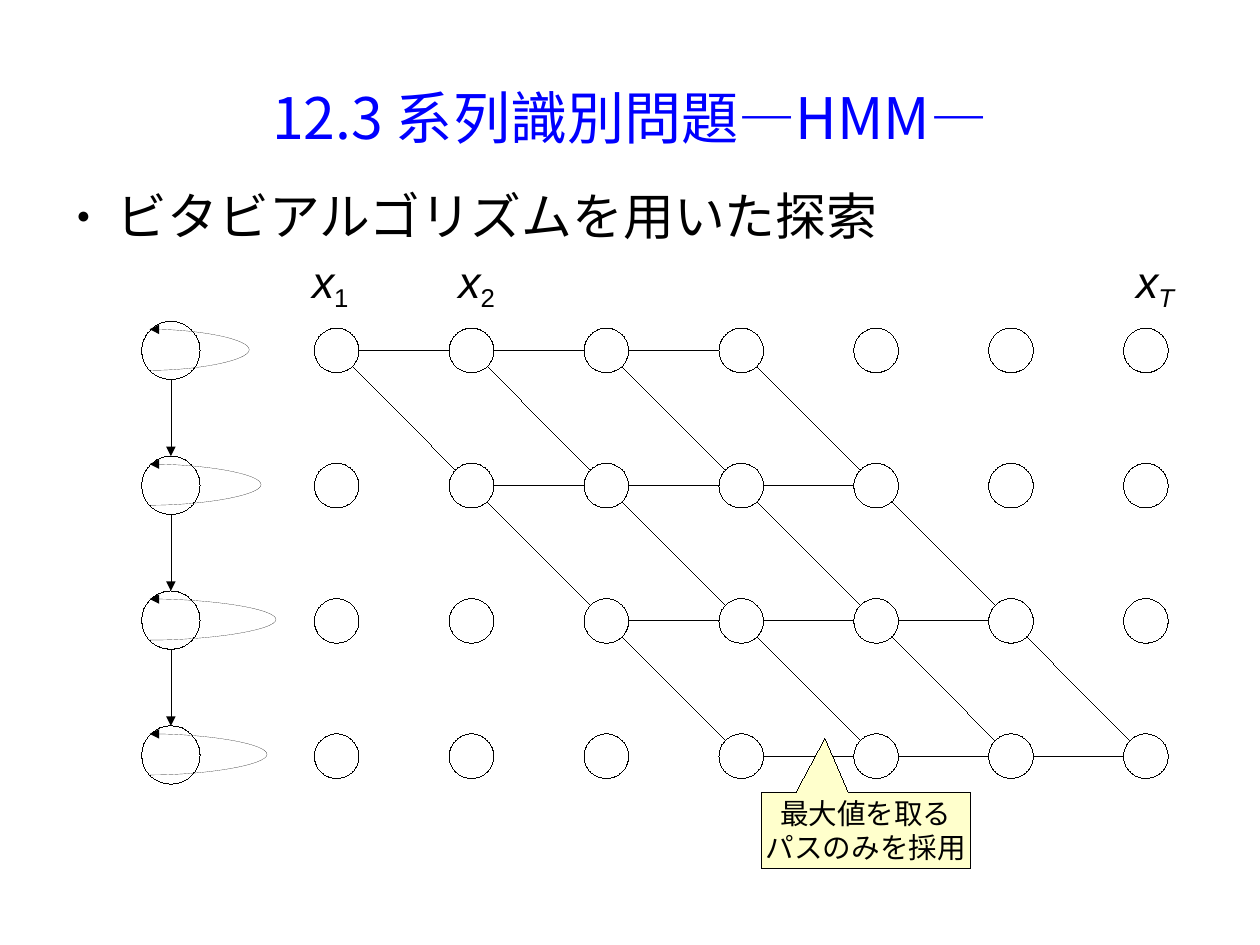
from dataclasses import dataclass
from lxml.etree import SubElement
from pptx import Presentation
from pptx.dml.color import RGBColor
from pptx.enum.shapes import MSO_CONNECTOR, MSO_SHAPE
from pptx.enum.text import MSO_ANCHOR, PP_ALIGN
from pptx.oxml.ns import qn
from pptx.util import Cm, Emu, Inches, Pt


@dataclass(frozen=True)
class Theme:
    ink: str = "000000"
    paper: str = "FFFFFF"
    title: str = "0000FF"
    note: str = "FFFFCC"
    sans: str = "Noto Sans CJK JP"
    latin: str = "Arial"
    head: int = 36
    body: int = 32
    math: int = 28
    small: int = 18


THEME = Theme()


# Shared helpers
def place(shape, box):
    shape.left, shape.top, shape.width, shape.height = map(Inches, box)


def frame(shape, anchor, wrap=True, inset=(0, 0)):
    text = shape.text_frame
    text.word_wrap = wrap
    text.vertical_anchor = anchor
    text.margin_left = text.margin_right = Inches(inset[0])
    text.margin_top = text.margin_bottom = Inches(inset[1])
    return text


def write(para, words, size, color, face):
    run = para.add_run()
    run.text = words
    font = run.font
    font.size, font.name = Pt(size), face
    font.color.rgb = RGBColor.from_string(color)
    SubElement(font._element, qn("a:ea")).set("typeface", THEME.sans)
    return run


def outline(shape):
    shape.line.color.rgb = RGBColor.from_string(THEME.ink)
    edge = shape._element.spPr.find(qn("a:ln"))
    edge.set("w", "0")
    return edge


def draw(slide, kind, box, fill):
    shape = slide.shapes.add_shape(kind, *map(Inches, box))
    shape.shadow.inherit = False
    shape.fill.solid()
    shape.fill.fore_color.rgb = RGBColor.from_string(fill)
    outline(shape)
    return shape


def link(slide, start, end, kind=MSO_CONNECTOR.STRAIGHT, arrow=False):
    line = slide.shapes.add_connector(kind, *map(Inches, start + end))
    edge = outline(line)
    if arrow:
        SubElement(edge, qn("a:tailEnd")).set("type", "triangle")
    SubElement(line._element.spPr, qn("a:effectLst"))
    return line


# Title and bullet
def heading(slide, box):
    title = slide.shapes.title
    place(title, box)
    para = frame(title, MSO_ANCHOR.MIDDLE).paragraphs[0]
    para.alignment = PP_ALIGN.CENTER
    write(para, "12.3 系列識別問題―HMM―", THEME.head, THEME.title, THEME.sans)


def topic(slide, box):
    body = slide.placeholders[1]
    place(body, box)
    para = frame(body, MSO_ANCHOR.TOP).paragraphs[0]
    para.space_before, para.space_after = Pt(0), Pt(14.2)
    props = para._p.get_or_add_pPr()
    props.set("marL", str(Inches(0.47)))
    props.set("indent", str(Inches(-0.35)))
    color = SubElement(props, qn("a:buClr"))
    SubElement(color, qn("a:srgbClr")).set("val", THEME.ink)
    SubElement(props, qn("a:buSzPct")).set("val", "45000")
    SubElement(props, qn("a:buChar")).set("char", "●")
    write(para, "ビタビアルゴリズムを用いた探索", THEME.body, THEME.ink, THEME.sans)


# Grid of states over time, with the allowed paths behind it
def trellis(slide, box, rows=4, cols=7, size=0.39):
    x, y, w, h = box
    across, down = (w - size) / (cols - 1), (h - size) / (rows - 1)

    def mid(col, row):
        return x + size / 2 + col * across, y + size / 2 + row * down

    span = cols - rows
    for step in range(rows):
        link(slide, mid(step, step), mid(step + span, step))
        link(slide, mid(step, 0), mid(step + rows - 1, rows - 1))
    for col in range(cols):
        for row in range(rows):
            spot = (x + col * across, y + row * down, size, size)
            draw(slide, MSO_SHAPE.OVAL, spot, THEME.paper)


# Arrow that returns to its own state
def loop(slide, x, top, base, reach):
    line = link(slide, (x, top), (x, base), MSO_CONNECTOR.CURVE, True)
    line.width = Emu(360)
    shape = line._element.spPr
    shape.find(qn("a:xfrm")).set("rot", "10800000")
    guides = shape.find(qn("a:prstGeom")).get_or_add_avLst()
    guide = SubElement(guides, qn("a:gd"))
    guide.set("name", "adj1")
    guide.set("fmla", f"val {-reach * 100000}")


# Column of model states
def chain(slide, box, bulges=(1105, 1237, 1402, 1303)):
    x, y, size, h = box
    step = (h - size) / (len(bulges) - 1)
    tops = [y + row * step for row in range(len(bulges))]
    for top in tops:
        draw(slide, MSO_SHAPE.OVAL, (x, top, size, size), THEME.paper)
    mid = x + size / 2
    for top, after in zip(tops, tops[1:]):
        link(slide, (mid, top + size), (mid, after), arrow=True)
    for top, bulge in zip(tops, bulges):
        loop(slide, x + 0.07, top + 0.07, top + 0.43, bulge)


# Names of the inputs above the grid
def inputs(slide, box):
    x, y, w, h = box
    for shift, mark in ((0, "1"), (1.28, "2"), (7.21, "T")):
        label = slide.shapes.add_textbox(*map(Inches, (x + shift, y, w, h)))
        para = frame(label, MSO_ANCHOR.TOP, False).paragraphs[0]
        write(para, "x", THEME.math, THEME.ink, THEME.latin).font.italic = True
        sub = write(para, mark, THEME.math, THEME.ink, THEME.latin)
        sub.font.italic = mark.isalpha()
        sub.font._element.set("baseline", "-20000")


# Callout
def remark(slide, box):
    note = draw(slide, MSO_SHAPE.RECTANGULAR_CALLOUT, box, THEME.note)
    note.adjustments[0], note.adjustments[1] = -0.195, -1.206
    text = frame(note, MSO_ANCHOR.MIDDLE, False, (0.1, 0.05))
    first, second = text.paragraphs[0], text.add_paragraph()
    for para, words in ((first, "最大値を取る"), (second, "パスのみを採用")):
        para.alignment = PP_ALIGN.CENTER
        write(para, words, THEME.small, THEME.ink, THEME.latin)


def main():
    deck = Presentation()
    deck.slide_width = Cm(28)
    deck.slide_height = Cm(21)
    slide = deck.slides.add_slide(deck.slide_layouts[1])
    heading(slide, (0.55, 0.33, 9.92, 1.38))
    topic(slide, (0.55, 1.62, 9.92, 0.69))
    trellis(slide, (2.75, 2.87, 7.47, 3.94))
    chain(slide, (1.24, 2.81, 0.51, 4.05))
    inputs(slide, (2.73, 2.22, 0.45, 0.45))
    remark(slide, (6.66, 6.93, 1.83, 0.67))
    deck.save("out.pptx")


if __name__ == "__main__":
    main()
